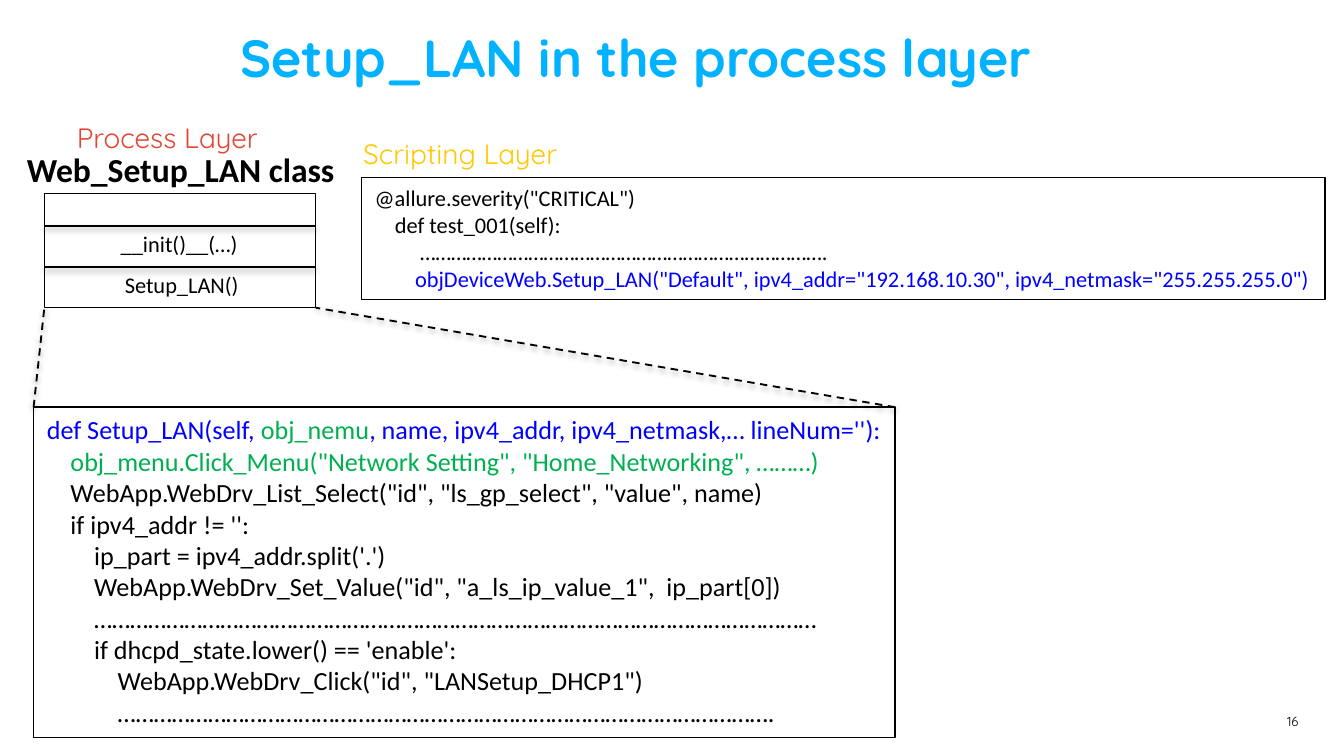
from dataclasses import dataclass

from lxml import etree
from pptx import Presentation
from pptx.dml.color import RGBColor
from pptx.enum.dml import MSO_LINE_DASH_STYLE as Dash
from pptx.enum.shapes import MSO_CONNECTOR as Connector
from pptx.enum.shapes import MSO_SHAPE as Preset
from pptx.enum.text import MSO_ANCHOR as Anchor
from pptx.enum.text import MSO_AUTO_SIZE as AutoSize
from pptx.enum.text import PP_ALIGN as Align
from pptx.oxml import parse_xml
from pptx.oxml.ns import nsdecls
from pptx.util import Inches, Pt


@dataclass(frozen=True)
class Theme:
    display: str = "Quicksand"
    body: str = "Calibri"
    black: str = "000000"
    title: str = "00B2FF"
    process: str = "E34535"
    scripting: str = "FFC800"
    call: str = "0000FF"
    menu: str = "00B050"
    title_size: int = 28
    class_size: int = 18
    layer_size: int = 15
    code_size: int = 14
    small_size: int = 12
    number_size: int = 7
    box_line: float = 0.75
    rule_line: float = 1


THEME = Theme()
CELL = 0.1  # inches per grid column and row

# Each code line is plain text or a list of (text, colour) runs
SETUP_CODE = [
    [("def Setup_LAN(self, ", THEME.call), ("obj_nemu", THEME.menu),
     (", name, ipv4_addr, ipv4_netmask,… lineNum=''):", THEME.call)],
    [('    obj_menu.Click_Menu("Network Setting", "Home_Networking", ………)', THEME.menu)],
    '    WebApp.WebDrv_List_Select("id", "ls_gp_select", "value", name)',
    "    if ipv4_addr != '':",
    "        ip_part = ipv4_addr.split('.')",
    '        WebApp.WebDrv_Set_Value("id", "a_ls_ip_value_1",  ip_part[0])',
    "        …………………………………………………………………………………………………………",
    "        if dhcpd_state.lower() == 'enable':",
    '            WebApp.WebDrv_Click("id", "LANSetup_DHCP1")',
    "            ……………………………………………………………………………………………….",
]
SCRIPT_CODE = [
    '@allure.severity("CRITICAL")',
    "    def test_001(self):",
    "         …………………………………………………………………….",
    [('        objDeviceWeb.Setup_LAN("Default", ipv4_addr="192.168.10.30", '
      'ipv4_netmask="255.255.255.0")', THEME.call)],
]


def grid(*cells):
    """Turn grid columns and rows into lengths."""
    return [Inches(cell * CELL) for cell in cells]


def write(shape, lines, size, font=THEME.body, color=THEME.black, bold=False,
          align=Align.LEFT, anchor=Anchor.TOP, wrap=True, spacing=None):
    """Fill a shape with lines, each a string or a list of coloured runs."""
    frame = shape.text_frame
    frame.auto_size = AutoSize.NONE
    frame.word_wrap = wrap
    frame.vertical_anchor = anchor
    for index, line in enumerate(lines):
        paragraph = frame.add_paragraph() if index else frame.paragraphs[0]
        paragraph.alignment = align
        if spacing:
            paragraph.line_spacing = spacing
        for text, run_color in [(line, color)] if isinstance(line, str) else line:
            run = paragraph.add_run()
            run.text = text
            run.font.name = font
            run.font.size = Pt(size)
            run.font.bold = bold
            run.font.color.rgb = RGBColor.from_string(run_color)


def add_title(slide, text, area):
    title = slide.shapes.title
    title.left, title.top, title.width, title.height = grid(*area)
    frame = title.text_frame
    frame.margin_left = frame.margin_right = frame.margin_top = frame.margin_bottom = 0
    write(title, [text], THEME.title_size, font=THEME.display, color=THEME.title,
          bold=True, spacing=0.9)


def add_label(slide, text, area, size, **style):
    write(slide.shapes.add_textbox(*grid(*area)), [text], size, **style)


def add_box(slide, area):
    box = slide.shapes.add_shape(Preset.RECTANGLE, *grid(*area))
    box.shadow.inherit = False
    box.fill.background()
    box.line.color.rgb = RGBColor.from_string(THEME.black)
    box.line.width = Pt(THEME.box_line)
    return box


def add_rule(slide, start, end, dash=None):
    """Draw a straight line with a soft shadow below it."""
    rule = slide.shapes.add_connector(Connector.STRAIGHT, *grid(*start, *end))
    rule.line.color.rgb = RGBColor.from_string(THEME.black)
    rule.line.width = Pt(THEME.rule_line)
    if dash:
        rule.line.dash_style = dash
    effects = parse_xml(f"<a:effectLst {nsdecls('a')}/>")
    shadow = etree.SubElement(
        effects, effects.tag.replace("effectLst", "outerShdw"),
        blurRad=str(Pt(3.1)), dist=str(Pt(1.6)), dir="5400000", rotWithShape="0")
    color = etree.SubElement(shadow, effects.tag.replace("effectLst", "srgbClr"),
                             val=THEME.black)
    etree.SubElement(color, effects.tag.replace("effectLst", "alpha"), val="38000")
    rule.element.spPr.append(effects)


def add_class_box(slide, area, members):
    """Draw the class box with a rule above each (name, label left, row) member."""
    left, top, width, height = area
    add_box(slide, area)
    for name, label_left, row in members:
        add_rule(slide, (left, row), (left + width, row))
        add_label(slide, name, (label_left, row - 0.2, 10.8, 3), THEME.small_size,
                  wrap=False)


def main():
    presentation = Presentation()
    presentation.slide_width, presentation.slide_height = grid(100, 56.25)
    slide = presentation.slides.add_slide(presentation.slide_layouts[5])

    add_title(slide, "Setup_LAN in the process layer", (17.9, 2.4, 74.6, 4.2))

    # Process layer: class and its methods
    class_area = left, top, width, height = 3.3, 14.4, 20.2, 8.5
    add_class_box(slide, class_area,
                  [("__init()__(…)", 8, 16.8), ("Setup_LAN()", 8.3, 19.9)])
    add_label(slide, "Web_Setup_LAN class", (0.9, 10.6, 25.1, 4), THEME.class_size,
              bold=True, align=Align.CENTER, wrap=False)

    # Method body, opened out from the class box
    code_area = code_left, code_top, code_width, _ = 2.5, 30.3, 64.1, 24.6
    write(add_box(slide, code_area), SETUP_CODE, THEME.code_size)
    bottom = top + height
    add_rule(slide, (code_left, code_top), (left, bottom), Dash.DASH)
    add_rule(slide, (code_left + code_width, code_top), (left + width, bottom), Dash.DASH)

    # Scripting layer: test that calls the method
    write(add_box(slide, (26.9, 13.2, 71.7, 9.1)), SCRIPT_CODE, THEME.small_size)

    # Layer names
    for name, place, color in [("Process Layer", (3.3, 8.5), THEME.process),
                               ("Scripting Layer", (25.1, 9.7), THEME.scripting)]:
        add_label(slide, name, (*place, 18.3, 3.5), THEME.layer_size,
                  font=THEME.display, color=color, align=Align.CENTER)

    # Page number
    add_label(slide, "16", (94.2, 51.7, 3.4, 4), THEME.number_size,
              font=THEME.display, align=Align.RIGHT, anchor=Anchor.MIDDLE)

    presentation.save("out.pptx")


if __name__ == "__main__":
    main()
